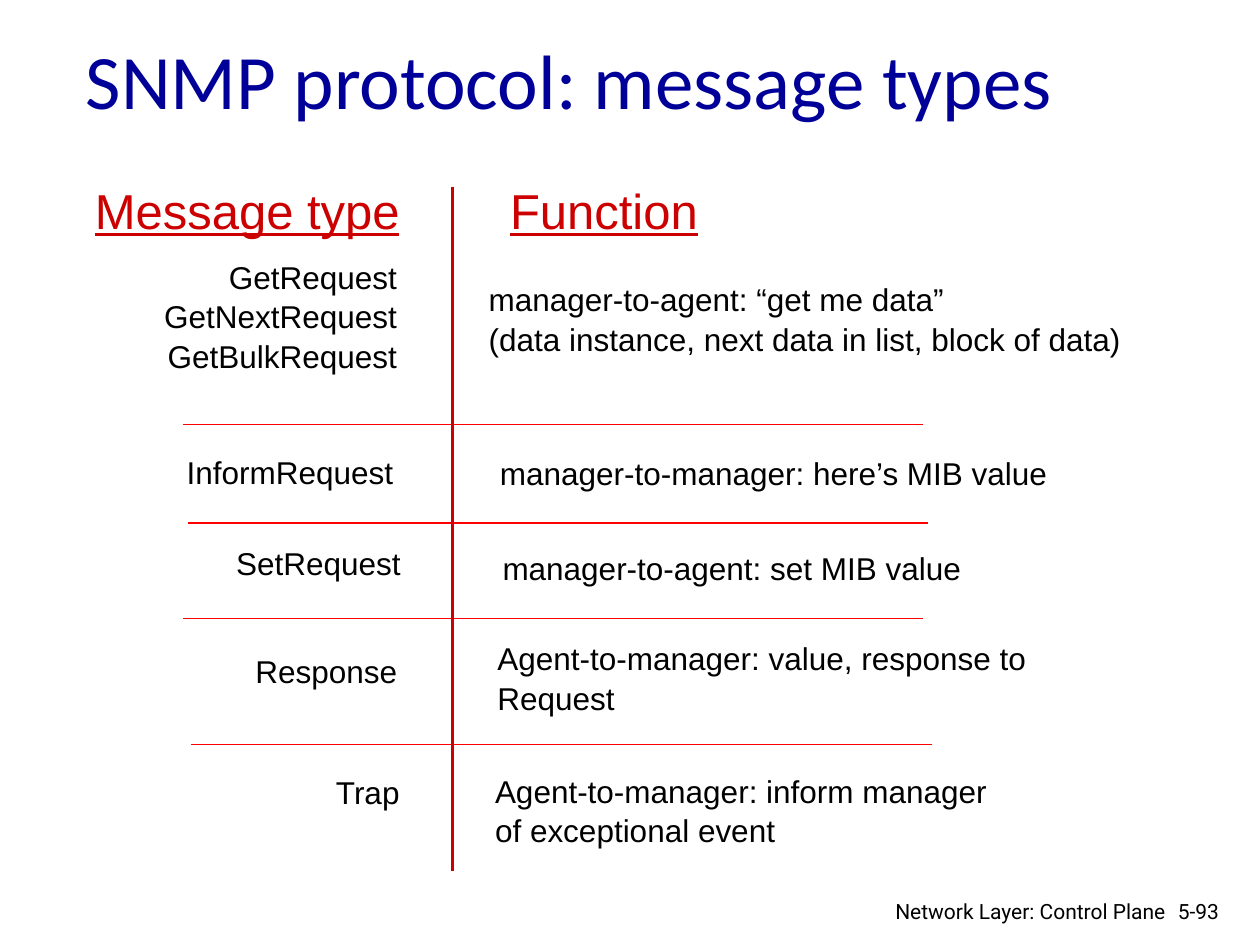
from pptx import Presentation
from pptx.dml.color import RGBColor
from pptx.enum.shapes import MSO_CONNECTOR
from pptx.enum.text import MSO_ANCHOR, PP_ALIGN
from pptx.oxml.ns import qn
from pptx.util import Pt
from lxml import etree

NAVY = RGBColor(0x00, 0x00, 0x99)
CRIMSON = RGBColor(0xCC, 0x00, 0x00)
RED = RGBColor(0xFF, 0x00, 0x00)
BLACK = RGBColor(0x00, 0x00, 0x00)

LEFT, RIGHT = PP_ALIGN.LEFT, PP_ALIGN.RIGHT

# Boxes are (left, top, width, height) in points
MESSAGE_TYPES = [
    ((39.6, 142.6, 194.4, 94.3), ["GetRequest", "GetNextRequest", "GetBulkRequest"]),
    ((28.8, 254.2, 203, 36), ["InformRequest"]),
    ((33.1, 306, 203, 36), ["SetRequest"]),
    ((31, 367.9, 203, 36), ["Response"]),
    ((32.4, 437, 203, 36), ["Trap"]),
]
FUNCTIONS = [
    ((272.2, 155.5, 379.4, 51.1),
     ["manager-to-agent: “get me data”",
      "(data instance, next data in list, block of data)"]),
    ((278.6, 254.9, 355, 28.8), ["manager-to-manager: here’s MIB value"]),
    ((280.1, 308.9, 336.2, 28.8), ["manager-to-agent: set MIB value"]),
    ((277.2, 360.7, 333.4, 51.1),
     ["Agent-to-manager: value, response to", "Request"]),
    ((275.8, 436.3, 377.3, 51.1),
     ["Agent-to-manager: inform manager", "of exceptional event"]),
]
# Left end and height of each line between rows
ROW_RULES = [(104.4, 242.6), (107.3, 298.8), (104.4, 353.5), (109.4, 425.5)]
RULE_LENGTH = 423.2


def add_run(paragraph, text, size, font, color, underline=None):
    run = paragraph.add_run()
    run.text = text
    run.font.size = Pt(size)
    run.font.name = font
    run.font.color.rgb = color
    run.font.underline = underline


def add_title(slide, text):
    title = slide.shapes.title
    title.left, title.top, title.width, title.height = Pt(41.8), Pt(0), Pt(612), Pt(90)
    title.text_frame.vertical_anchor = MSO_ANCHOR.MIDDLE
    paragraph = title.text_frame.paragraphs[0]
    paragraph.alignment = LEFT
    add_run(paragraph, text, 44, "Calibri", NAVY)


def add_text(slide, box, lines, align=LEFT, size=18, font="Arial",
             color=BLACK, underline=None, spacing=None):
    frame = slide.shapes.add_textbox(*map(Pt, box)).text_frame
    frame.word_wrap = True
    for index, line in enumerate(lines):
        paragraph = frame.add_paragraph() if index else frame.paragraphs[0]
        paragraph.alignment = align
        paragraph.line_spacing = spacing
        add_run(paragraph, line, size, font, color, underline)


def add_rule(slide, start, end, color, width):
    rule = slide.shapes.add_connector(MSO_CONNECTOR.STRAIGHT, *map(Pt, start + end))
    rule.line.color.rgb = color
    rule.line.width = Pt(width)
    etree.SubElement(rule._element.spPr, qn("a:effectLst"))


def main():
    deck = Presentation()
    deck.slide_width, deck.slide_height = Pt(720), Pt(540)
    slide = deck.slides.add_slide(deck.slide_layouts[5])
    add_title(slide, "SNMP protocol: message types")

    # Column headings
    heading = dict(size=28, color=CRIMSON, underline=True)
    add_text(slide, (44.6, 99.4, 190.8, 41), ["Message type"], RIGHT, **heading)
    add_text(slide, (284.4, 99.4, 123.1, 41), ["Function"], **heading)

    # Lines between rows and columns
    for left, y in ROW_RULES:
        add_rule(slide, (left, y), (left + RULE_LENGTH, y), RED, 1)
    add_rule(slide, (258.5, 106.6), (258.5, 497.5), CRIMSON, 2)

    # Message types and what they do
    for column, align in ((MESSAGE_TYPES, RIGHT), (FUNCTIONS, LEFT)):
        for box, lines in column:
            add_text(slide, box, lines, align, spacing=1.05)

    # Footer
    footer = dict(size=12, font="Roboto")
    add_text(slide, (666, 509.8, 43.2, 21.6), ["5-93"], **footer)
    add_text(slide, (501.8, 509.8, 171.4, 18.7),
             ["Network Layer: Control Plane"], RIGHT, **footer)

    deck.save("out.pptx")


if __name__ == "__main__":
    main()
